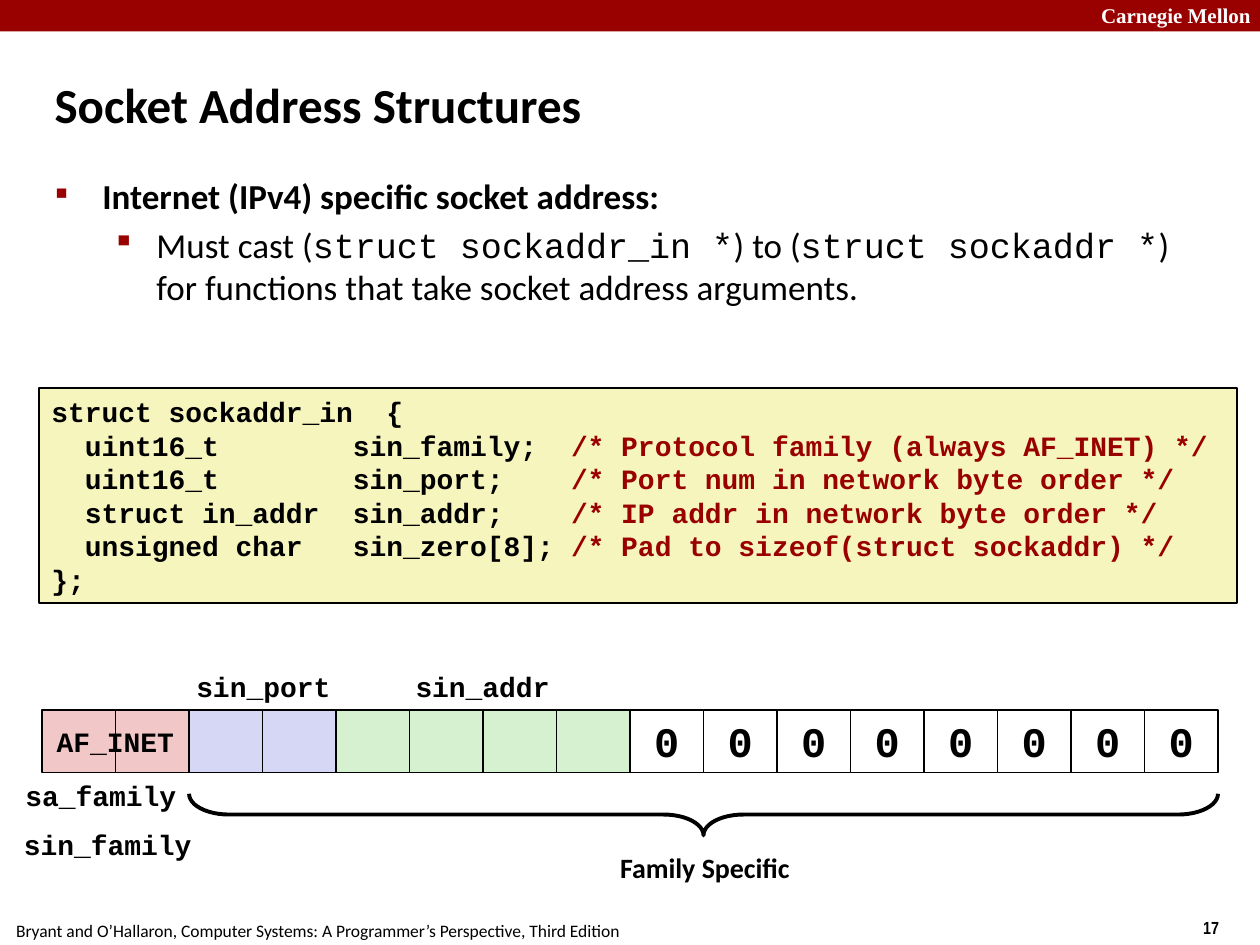
from lxml.etree import SubElement
from pptx import Presentation
from pptx.dml.color import RGBColor
from pptx.enum.shapes import MSO_SHAPE
from pptx.enum.text import MSO_ANCHOR, MSO_AUTO_SIZE, PP_ALIGN
from pptx.oxml.ns import qn
from pptx.util import Inches, Pt


class Theme:
    red, black, white = "990000", "000000", "FFFFFF"
    code_fill, family, port, addr = "F6F5BD", "F1C7C7", "D6D6F5", "D5F1CF"
    sans, mono, serif, narrow = "Calibri", "Courier New", "Times New Roman", "Arial Narrow"
    title, digit, body, label, header, footer = 28, 24, 20, 16, 12, 10


prs = Presentation()
prs.slide_width, prs.slide_height = Inches(10), Inches(7.5)
W, H = prs.slide_width, prs.slide_height
MARGIN, CELL = W / 30, W * 7 / 120  # sixteen byte cells between equal margins
ROW_TOP, ROW_H = H * 0.751, H / 15
s = prs.slides.add_slide(prs.slide_layouts[5])


def add_box(x, y, w, h, fill=None, line=None, kind=MSO_SHAPE.RECTANGLE):
    """Add a flat shape, placed in EMU."""
    sp = s.shapes.add_shape(kind, round(x), round(y), round(w), round(h))
    sp.shadow.inherit = False
    if fill:
        sp.fill.solid()
        sp.fill.fore_color.rgb = RGBColor.from_string(fill)
    else:
        sp.fill.background()
    if line:
        sp.line.color.rgb = RGBColor.from_string(Theme.black)
        sp.line.width = Pt(line)
    else:
        sp.line.fill.background()
    return sp


def style(p, size, font, color=Theme.black, bold=True, align=PP_ALIGN.LEFT):
    """Format every run of a paragraph."""
    p.alignment = align
    for r in p.runs:
        r.font.size, r.font.name, r.font.bold = Pt(size), font, bold
        r.font.color.rgb = RGBColor.from_string(color)


# Header band
add_box(0, 0, W, H / 30, Theme.red)

# Title
title = s.shapes.title
title.left, title.top = round(MARGIN), round(H * 0.053)
title.width, title.height = round(W * 0.953), round(H * 0.113)
tf = title.text_frame
tf.text = "Socket Address Structures"
tf.auto_size = MSO_AUTO_SIZE.NONE
tf.vertical_anchor = MSO_ANCHOR.MIDDLE
style(tf.paragraphs[0], Theme.title, Theme.sans)

# Bullets
bullets = [
    ("■", 46, 0.38, 0.37, 0, True,
     [("Internet (IPv4) specific socket address:", Theme.sans)]),
    ("▪", 88, 0.81, 0.35, 4, False,
     [("Must cast (", Theme.sans), ("struct sockaddr_in *", Theme.mono),
      (") to (", Theme.sans), ("struct sockaddr *", Theme.mono),
      (") for functions that take socket address arguments.", Theme.sans)]),
]
sp = s.shapes.add_textbox(round(MARGIN), round(H * 0.178), round(W * 0.908), round(H * 0.244))
tf = sp.text_frame
tf.word_wrap = True
for i, (mark, share, left, hang, before, bold, runs) in enumerate(bullets):
    p = tf.add_paragraph() if i else tf.paragraphs[0]
    p.level = i
    pPr = p._p.get_or_add_pPr()
    pPr.set("marL", str(Inches(left)))
    pPr.set("indent", str(-Inches(hang)))
    SubElement(SubElement(pPr, qn("a:buClr")), qn("a:srgbClr"), val=Theme.red)
    SubElement(pPr, qn("a:buSzPct"), val=str(share * 1000))
    SubElement(pPr, qn("a:buChar"), char=mark)
    p.space_before = Pt(before)
    for text, font in runs:
        p.add_run().text = text
    style(p, Theme.body, Theme.sans, bold=bold)
    for r, (text, font) in zip(p.runs, runs):
        r.font.name = font

# Byte cells: two family, two port, four address, eight zero bytes
fills = [Theme.family] * 2 + [Theme.port] * 2 + [Theme.addr] * 4 + [Theme.white] * 8
for i, fill in enumerate(fills):
    cell = add_box(MARGIN + i * CELL, ROW_TOP, CELL, ROW_H, fill, 1)
    if fill == Theme.white:
        tf = cell.text_frame
        tf.text = "0"
        tf.vertical_anchor = MSO_ANCHOR.MIDDLE
        style(tf.paragraphs[0], Theme.digit, Theme.mono, align=PP_ALIGN.CENTER)

# Brace under the fourteen family-specific bytes
span, depth = 14 * CELL, H * 0.044
mid_x, mid_y = MARGIN + 9 * CELL, H * 0.862
brace = add_box(mid_x - depth / 2, mid_y - span / 2, depth, span,
                line=2.25, kind=MSO_SHAPE.RIGHT_BRACE)
brace.rotation = 90
brace.adjustments[0], brace.adjustments[1] = 0.96, 0.5

# Structure declaration
code = [
    ("struct sockaddr_in  {", ""),
    ("  uint16_t        sin_family;  ", "/* Protocol family (always AF_INET) */"),
    ("  uint16_t        sin_port;    ", "/* Port num in network byte order */"),
    ("  struct in_addr  sin_addr;    ", "/* IP addr in network byte order */"),
    ("  unsigned char   sin_zero[8]; ", "/* Pad to sizeof(struct sockaddr) */"),
    ("};", ""),
]
tf = add_box(W * 0.031, H * 0.411, W * 0.951, H * 0.227, Theme.code_fill, 1).text_frame
tf.vertical_anchor = MSO_ANCHOR.TOP
for i, (field, comment) in enumerate(code):
    p = tf.add_paragraph() if i else tf.paragraphs[0]
    p.text = field
    if comment:
        p.add_run().text = comment
    style(p, Theme.label, Theme.mono)
    if comment:
        p.runs[1].font.color.rgb = RGBColor.from_string(Theme.red)

# Labels: text, left, top, width, height as shares of the slide, then type
L, C = PP_ALIGN.LEFT, PP_ALIGN.CENTER
mono = (Theme.label, Theme.mono, Theme.black, True, C)
labels = [
    ("sin_port", 0.144, 0.702, 0.13, 0.049, mono),
    ("sin_addr", 0.318, 0.702, 0.13, 0.049, mono),
    ("AF_INET", 0.033, 0.76, 0.117, 0.049, mono),
    ("sa_family", 0.008, 0.817, 0.144, 0.049, mono),
    ("sin_family", 0.007, 0.869, 0.157, 0.049, mono),
    ("Family Specific", 0.48, 0.893, 0.159, 0.049,
     (Theme.label, Theme.sans, Theme.black, True, C)),
    ("Carnegie Mellon", 0.864, -0.004, 0.143, 0.04,
     (Theme.header, Theme.serif, Theme.white, True, L)),
    ("17", 0.945, 0.964, 0.075, 0.036,
     (Theme.footer, Theme.narrow, Theme.black, True, L)),
    ("Bryant and O’Hallaron, Computer Systems: A Programmer’s Perspective, Third Edition",
     0.003, 0.967, 0.51, 0.036, (Theme.footer, Theme.sans, Theme.black, False, L)),
]
for text, x, y, w, h, look in labels:
    sp = s.shapes.add_textbox(round(W * x), round(H * y), round(W * w), round(H * h))
    tf = sp.text_frame
    tf.text = text
    tf.word_wrap = True
    style(tf.paragraphs[0], *look)

prs.save("out.pptx")
